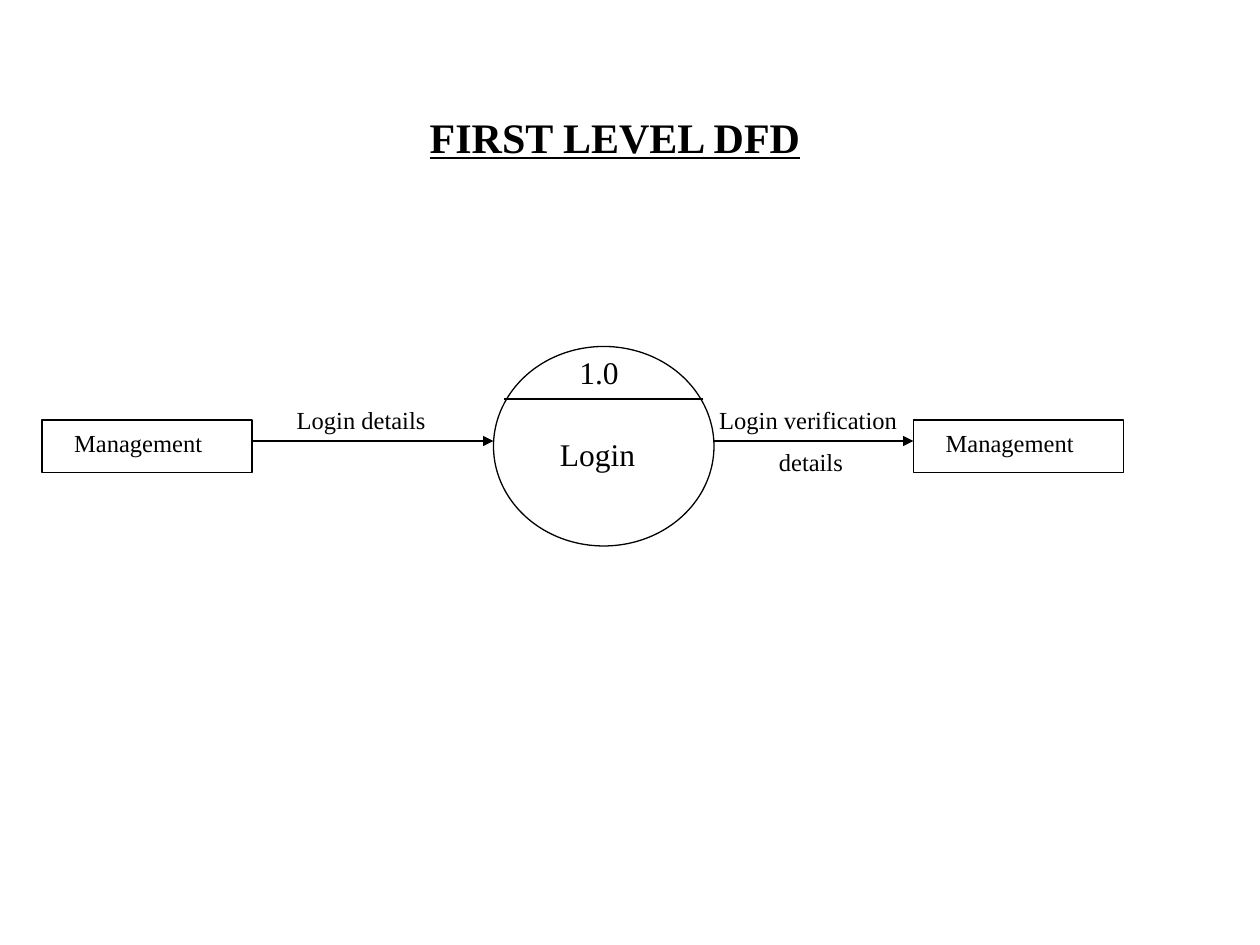
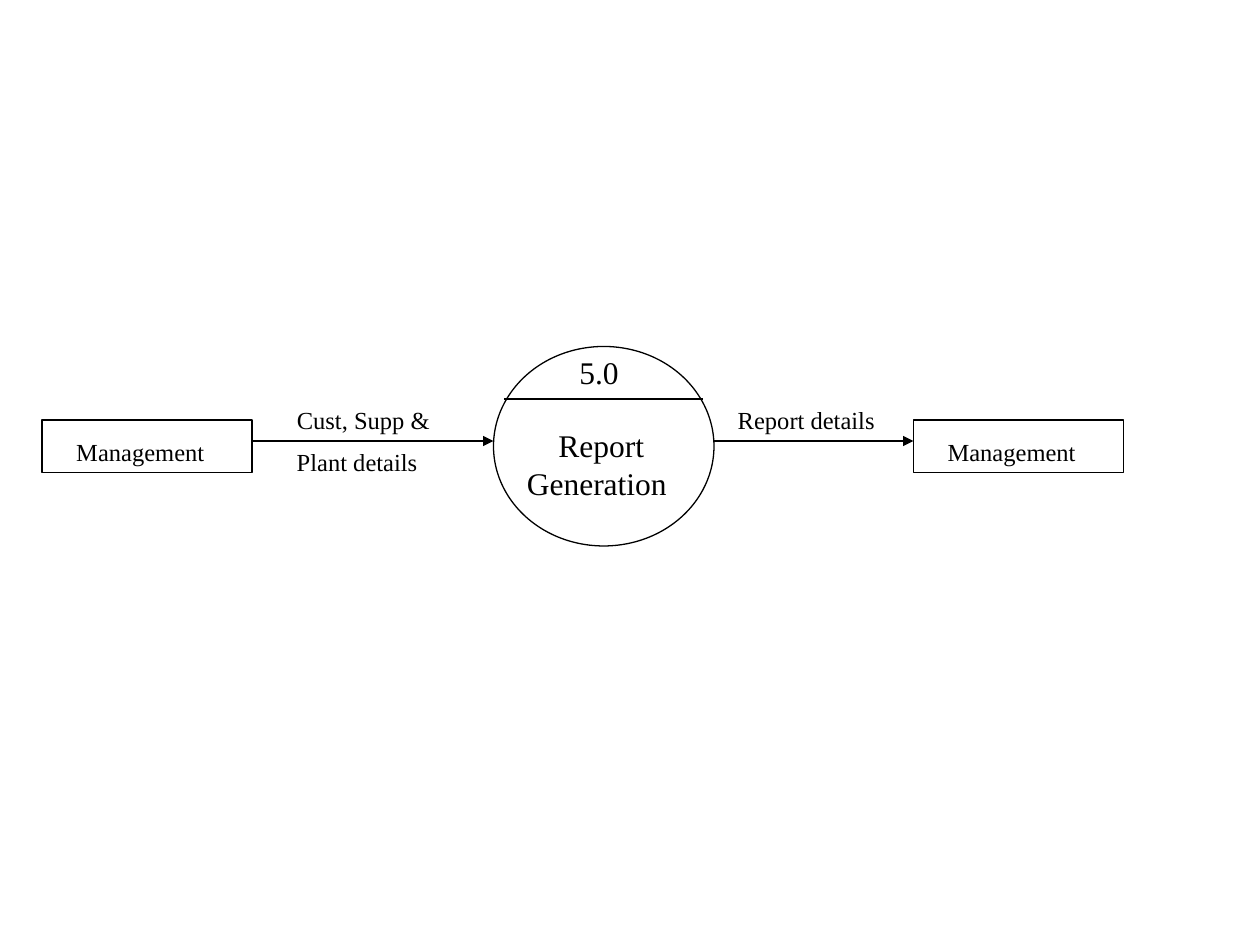
from lxml.etree import SubElement as Sub
from pptx import Presentation
from pptx.dml.color import RGBColor
from pptx.enum.shapes import MSO_CONNECTOR as Conn, MSO_SHAPE as Form
from pptx.oxml.ns import qn
from pptx.util import Pt

BLACK = RGBColor(0, 0, 0)
WHITE = RGBColor(255, 255, 255)
FONT = "Times New Roman"
FLOW_Y = 252
SMALL, LARGE = 14, 18


def add_text(slide, text, x, y, w, size=SMALL, indents=(0,), bold=False):
    lines = text.split("\n")
    high = 1.2 * size * len(lines) + 7.2
    box = slide.shapes.add_textbox(Pt(x), Pt(y), Pt(w), Pt(high))
    frame = box.text_frame
    frame.word_wrap = True
    for i, (line, indent) in enumerate(zip(lines, indents)):
        para = frame.add_paragraph() if i else frame.paragraphs[0]
        if indent:
            para._p.get_or_add_pPr().set("marL", str(Pt(indent)))
        run = para.add_run()
        run.text = line
        font = run.font
        font.name, font.size = FONT, Pt(size)
        font.bold = font.underline = bold
        font.color.rgb = BLACK


def add_form(slide, form, x, y, w, h):
    shape = slide.shapes.add_shape(form, Pt(x), Pt(y), Pt(w), Pt(h))
    shape.shadow.inherit = False
    shape.fill.background()
    shape.line.color.rgb = BLACK
    shape.line.width = Pt(0.75)


def add_line(slide, start, end, y, arrow=False):
    line = slide.shapes.add_connector(Conn.STRAIGHT, Pt(start), Pt(y), Pt(end), Pt(y))
    line.line.color.rgb = BLACK
    line.line.width = Pt(0.75)
    props = line._element.spPr
    if arrow:
        Sub(props.find(qn("a:ln")), qn("a:tailEnd"), type="triangle")
    Sub(props, qn("a:effectLst"))


def add_flow(deck, number):
    """Draw the entities, process and arrows that every diagram has."""
    slide = deck.slides.add_slide(deck.slide_layouts[6])
    slide.background.fill.solid()
    slide.background.fill.fore_color.rgb = WHITE
    for x in (24, 522):
        add_form(slide, Form.RECTANGLE, x, 240, 120, 30)
    add_form(slide, Form.OVAL, 282, 198, 126, 114)
    for start, end in ((144, 282), (408, 522)):
        add_line(slide, start, end, FLOW_Y, arrow=True)
    add_line(slide, 288, 402, 228)
    add_text(slide, number, 324, 198, 40, size=LARGE)
    return slide


def name_ends(slide, left, right, y):
    for x in (left, right):
        add_text(slide, "Management", x, y, 92)


def add_labels(slide, labels):
    for text, x, y, w in labels:
        add_text(slide, text, x, y, w)


def main():
    deck = Presentation()
    deck.slide_width, deck.slide_height = Pt(720), Pt(540)
    above, below = 228, FLOW_Y

    login = add_flow(deck, "1.0")
    add_text(login, "FIRST LEVEL DFD", 108, 60, 546, size=24,
             indents=(130.5,), bold=True)
    name_ends(login, 35.3, 533.3, 241.2)
    add_text(login, "Login", 288.7, 244.8, 86.4, size=LARGE, indents=(24.2,))
    add_labels(login, (
        ("Login details", 162.5, above, 92),
        ("Login verification", 403.9, above, 123),
        ("details", 438, below, 66),
    ))

    report = add_flow(deck, "5.0")
    name_ends(report, 36.5, 534.4, 246)
    add_text(report, "Report\nGeneration", 294, 240, 126, size=LARGE,
             indents=(18, 0))
    add_labels(report, (
        ("Cust, Supp &", 162.5, above, 95),
        ("Plant details", 162.5, below, 88),
        ("Report details", 414.5, above, 97),
    ))
    deck.save("out.pptx")


if __name__ == "__main__":
    main()
